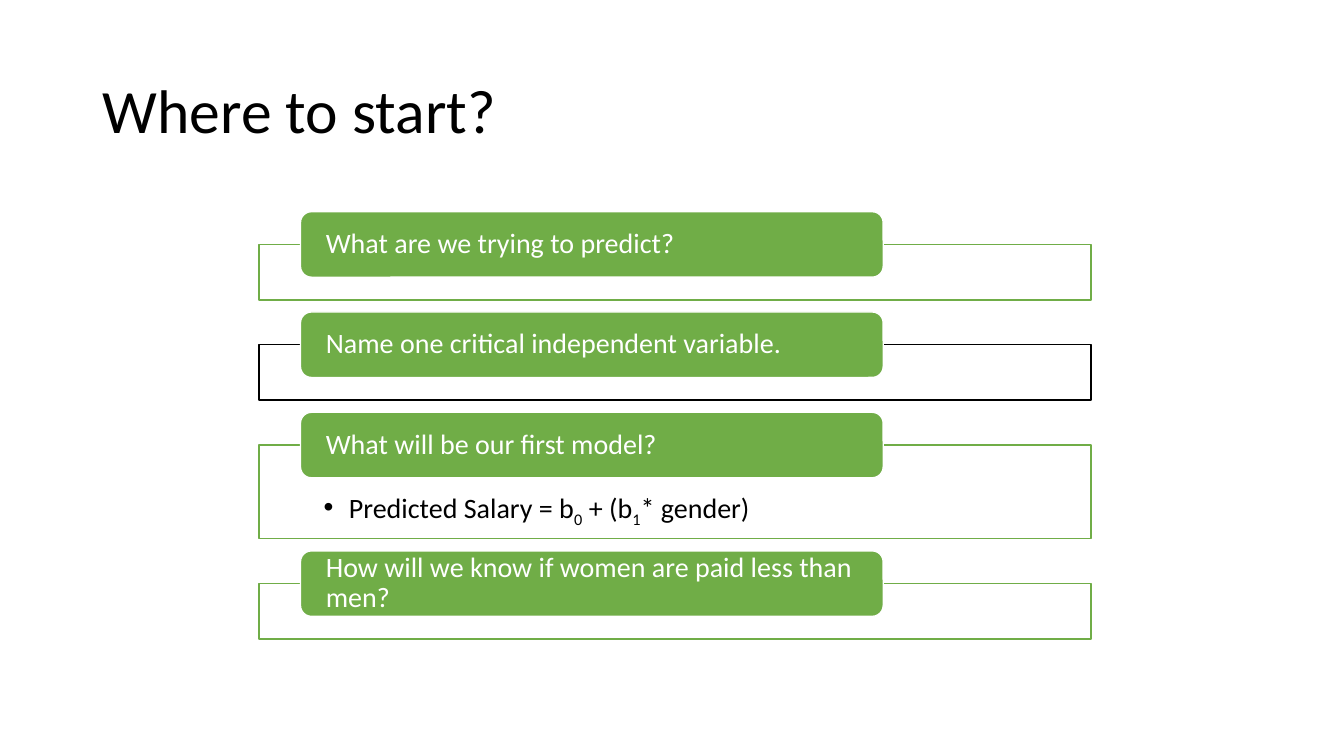
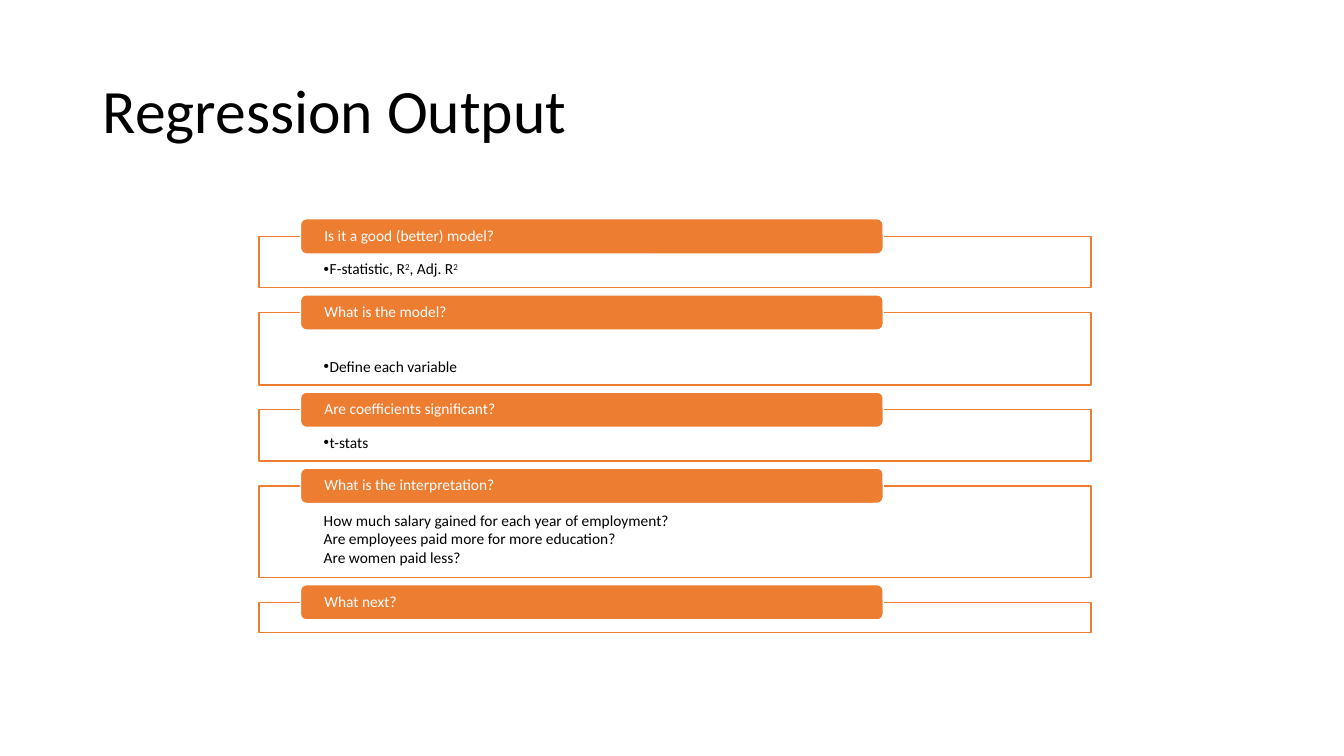
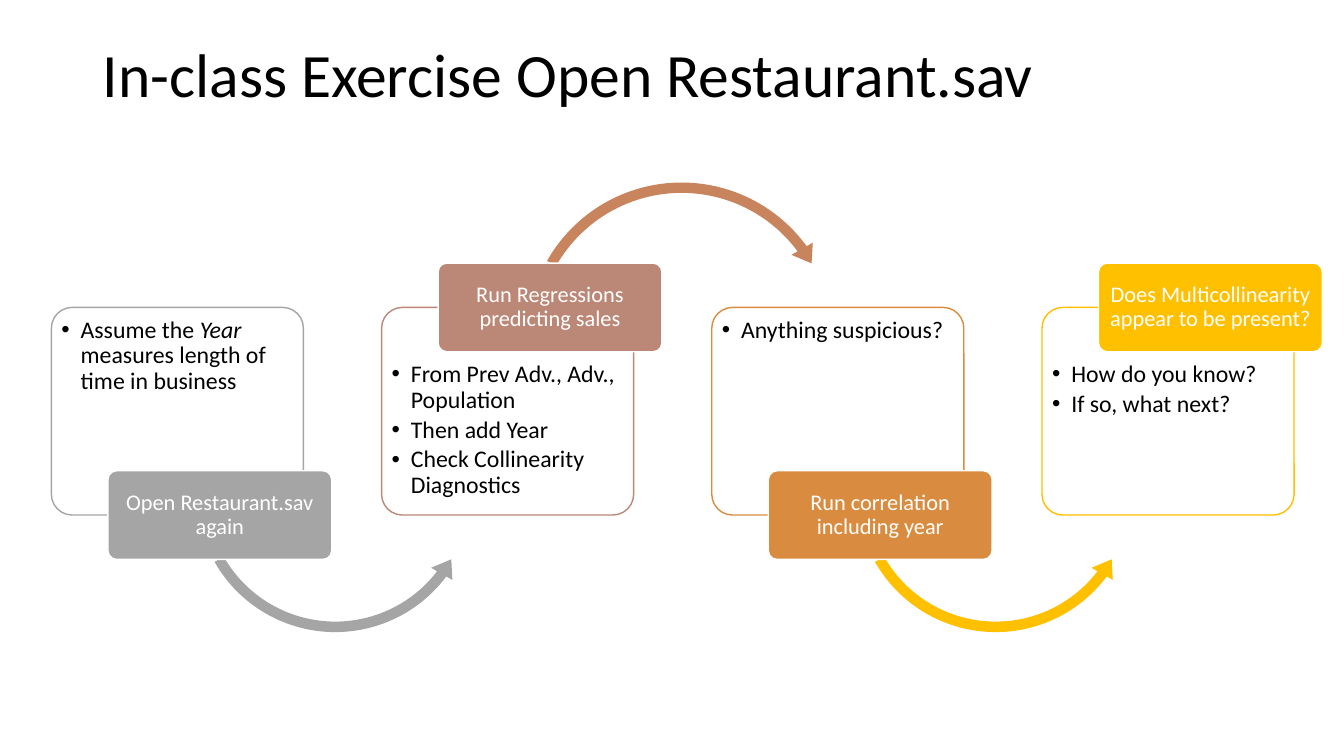
import pptx
import pptx.util
import pptx.dml.color
import pptx.enum.shapes
import pptx.enum.text
import lxml.etree
from pptx.oxml.ns import qn

Inches, Pt = pptx.util.Inches, pptx.util.Pt
SHAPE = pptx.enum.shapes.MSO_SHAPE
ALIGN = pptx.enum.text.PP_ALIGN
ANCHOR = pptx.enum.text.MSO_ANCHOR
FONT = "Calibri"
COLORS = {
    "white": "FFFFFF", "black": "000000", "green": "70AD47", "orange": "ED7D31",
    "gray": "A5A5A5", "rose": "BB8776", "copper": "C8855D", "amber": "D98C3F",
    "gold": "FFC000",
}
SUB, SUP, ITALIC = {"baseline": "-25000"}, {"baseline": "30000"}, {"i": "1"}


def add_box(s, kind, x, y, w, h, fill, line=None):
    sp = s.shapes.add_shape(kind, Inches(x), Inches(y), Inches(w), Inches(h))
    sp.shadow.inherit = False
    sp.fill.solid()
    sp.fill.fore_color.rgb = pptx.dml.color.RGBColor.from_string(COLORS[fill])
    if line:
        sp.line.color.rgb = pptx.dml.color.RGBColor.from_string(COLORS[line])
        sp.line.width = Pt(1)
    else:
        sp.line.fill.background()
    return sp


def write(sp, paragraphs, size, color, margins, align=ALIGN.LEFT,
          anchor=ANCHOR.MIDDLE, indent=0, spacing=0.9, after=0):
    """Fill a shape; a paragraph is a string or a list of (text, run attributes).

    A positive indent gives each paragraph a hanging bullet.
    """
    tf = sp.text_frame
    tf.word_wrap = True
    tf.vertical_anchor = anchor
    tf.margin_left, tf.margin_top, tf.margin_right, tf.margin_bottom = map(Inches, margins)
    for i, runs in enumerate(paragraphs):
        p = tf.add_paragraph() if i else tf.paragraphs[0]
        if indent:
            pPr = p._p.get_or_add_pPr()
            pPr.set("marL", str(Inches(indent)))
            pPr.set("indent", str(-Inches(indent)))
            lxml.etree.SubElement(pPr, qn("a:buFont")).set("typeface", "Arial")
            lxml.etree.SubElement(pPr, qn("a:buChar")).set("char", "•")
        p.alignment = align
        p.line_spacing = spacing
        p.space_after = Pt(after)
        for text, attributes in [(runs, {})] if isinstance(runs, str) else runs:
            r = p.add_run()
            r.text = text
            r.font.size = Pt(size)
            r.font.name = FONT
            r.font.color.rgb = pptx.dml.color.RGBColor.from_string(COLORS[color])
            for name, value in attributes.items():
                r._r.get_or_add_rPr().set(name, value)


prs = pptx.Presentation()
prs.slide_width, prs.slide_height = Inches(13.33), Inches(7.5)

# Shared title style: left aligned, 44 pt, tight lines
layout = prs.slide_layouts[5]
title = layout.placeholders[0]
title.left, title.top, title.width, title.height = map(Inches, (0.92, 0.4, 11.5, 1.45))
title_style = prs.slide_master.element.find(".//" + qn("p:titleStyle") + "/" + qn("a:lvl1pPr"))
title_style.set("algn", "l")
line_spacing = lxml.etree.Element(qn("a:lnSpc"))
lxml.etree.SubElement(line_spacing, qn("a:spcPct")).set("val", "90000")
title_style.insert(0, line_spacing)

# Slides 1 and 2: stacked frames, each with a heading pill on its top edge
# Row: heading, frame height, frame line, body paragraphs, body options
model = [("Predicted Salary = b", {}), ("0", SUB), (" + (b", {}), ("1", SUB), ("* gender)", {})]
fit = [("F-statistic, R", {}), ("2", SUP), (", Adj. R", {}), ("2", SUP)]
questions = ["How much salary gained for each year of employment?",
             "Are employees paid more for more education?",
             "Are women paid less?"]
bullet = {"indent": 0.06}
stacks = [
    {"title": "Where to start?", "color": "green", "size": 20, "top": 2.1,
     "pill": 0.65, "gap": 0.12, "body_top": 0.46,
     "rows": [
         ("What are we trying to predict?", 0.55, "green", [], {}),
         ("Name one critical independent variable.", 0.55, "black", [], {}),
         ("What will be our first model?", 0.93, "green", [model], {"indent": 0.25}),
         ("How will we know if women are paid less than men?", 0.55, "green", [], {}),
     ]},
    {"title": "Regression Output", "color": "orange", "size": 11, "top": 2.17,
     "pill": 0.35, "gap": 0.07, "body_top": 0.25,
     "rows": [
         ("Is it a good (better) model?", 0.51, "orange", [fit], bullet),
         ("What is the model?", 0.72, "orange", ["Define each variable"], bullet),
         ("Are coefficients significant?", 0.51, "orange", ["t-stats"], bullet),
         ("What is the interpretation?", 0.91, "orange", questions, {"spacing": 1.0}),
         ("What next?", 0.3, "orange", [], {}),
     ]},
]
for stack in stacks:
    s = prs.slides.add_slide(layout)
    s.shapes.title.text_frame.text = stack["title"]
    y = stack["top"]
    for heading, height, line, body, options in stack["rows"]:
        frame_top = y + stack["pill"] / 2
        frame = add_box(s, SHAPE.RECTANGLE, 2.57, frame_top, 8.25, height, "white", line)
        if body:
            # The variable definition sits at the foot of its taller frame
            body_top = 0.46 if heading == "What is the model?" else stack["body_top"]
            write(frame, body, stack["size"], "black", (0.64, body_top, 0.64, 0),
                  anchor=ANCHOR.TOP, **options)
        pill = add_box(s, SHAPE.ROUNDED_RECTANGLE, 2.98, y, 5.78, stack["pill"],
                       stack["color"], "white")
        write(pill, [heading], stack["size"], "white", (0.22, 0, 0.22, 0))
        y = frame_top + height + stack["gap"]

# Slide 3: four steps, labels alternating between bottom and top, joined by arcs
s = prs.slides.add_slide(layout)
s.shapes.title.text_frame.text = "In-class Exercise Open Restaurant.sav"
s.shapes.title.text_frame.margin_bottom = Inches(0.77)
steps = [
    ("Open Restaurant.sav again", "gray", "gray",
     [[("Assume the ", {}), ("Year", ITALIC), (" measures length of time in business", {})]]),
    ("Run Regressions predicting sales", "rose", "copper",
     ["From Prev Adv., Adv., Population", "Then add Year", "Check Collinearity Diagnostics"]),
    ("Run correlation including year", "amber", "gold", ["Anything suspicious?"]),
    ("Does Multicollinearity appear to be present?", "gold", None,
     ["How do you know?", "If so, what next?"]),
]
lower_arc = (SHAPE.LEFT_CIRCULAR_ARROW, 3.45, 2.89, (0.036, 4.488, 22.243, 90.245, 0.042))
upper_arc = (SHAPE.CIRCULAR_ARROW, 1.74, 3.21, (0.032, 4.007, 194.238, 125.755, 0.038))
for i, (label, color, arc_color, body) in enumerate(steps):
    x = 0.51 + 3.275 * i
    label_on_top = i % 2 == 1
    card = add_box(s, SHAPE.ROUNDED_RECTANGLE, x, 3.05, 2.5, 2.06, "white", color)
    card.adjustments[0] = 0.1
    margins = (0.04, 0.48, 0.04, 0.04) if label_on_top else (0.04, 0.04, 0.04, 0.48)
    write(card, body, 17, "black", margins, anchor=ANCHOR.TOP, indent=0.19, after=3)
    if arc_color:
        kind, arc_top, side, adjustments = upper_arc if label_on_top else lower_arc
        arc = add_box(s, kind, x + 1.37, arc_top, side, side, arc_color)
        for k, value in enumerate(adjustments):
            arc.adjustments[k] = value
    pill = add_box(s, SHAPE.ROUNDED_RECTANGLE, x + 0.56, 2.61 if label_on_top else 4.67,
                   2.22, 0.88, color, "white")
    pill.adjustments[0] = 0.1
    write(pill, [label], 16, "white", (0.03, 0.02, 0.03, 0.02), align=ALIGN.CENTER)

prs.save("out.pptx")
